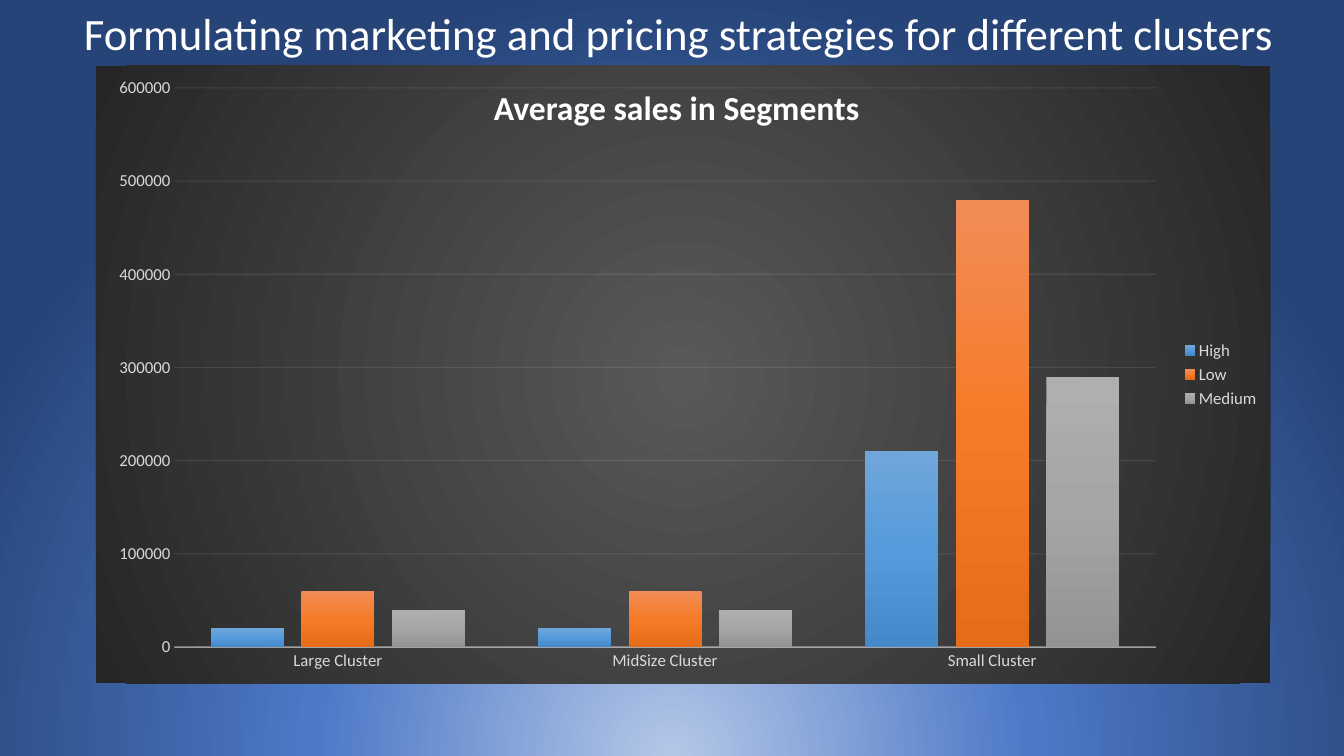
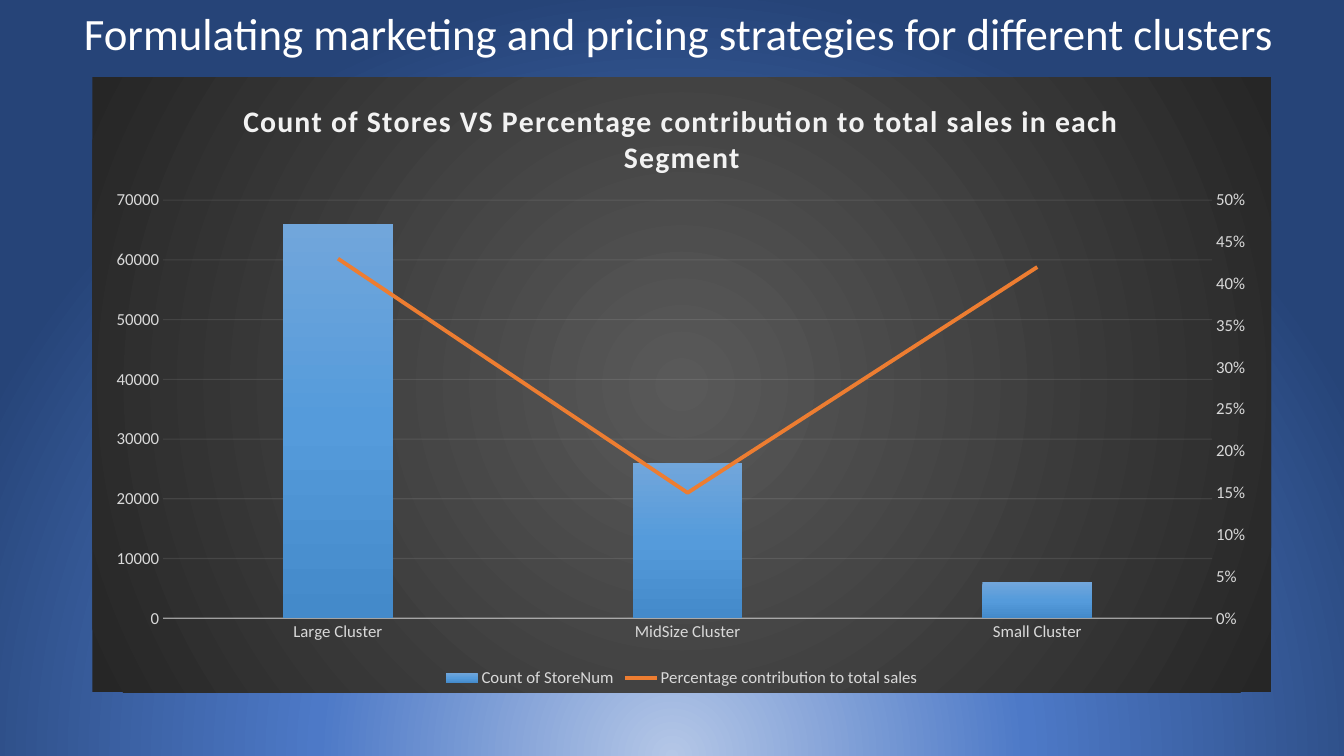
"""Build two slides of cluster charts on a shared radial blue background."""
from copy import deepcopy
from dataclasses import dataclass

from lxml import etree
from pptx import Presentation
from pptx import util as u
from pptx.chart import axis as axes
from pptx.chart import data
from pptx.dml.color import RGBColor
from pptx.enum import chart as kinds
from pptx.enum import text
from pptx.oxml import parse_xml
from pptx.oxml.ns import nsdecls, qn

HEIGHT = u.Inches(7.5)
WIDTH = HEIGHT * 16 // 9
FONT = "Calibri"
WHITE, PALE, LABEL = "FFFFFF", "F2F2F2", "D9D9D9"
TITLE = "Formulating marketing and pricing strategies for different clusters"
CLUSTERS = ("Large Cluster", "MidSize Cluster", "Small Cluster")


@dataclass(frozen=True)
class Box:
    """A rectangle in percent of the slide's width and height."""
    left: float
    top: float
    width: float
    height: float

    def lengths(self) -> tuple[int, int, int, int]:
        return (round(WIDTH * self.left / 100), round(HEIGHT * self.top / 100),
                round(WIDTH * self.width / 100), round(HEIGHT * self.height / 100))


@dataclass(frozen=True)
class Gradient:
    """Colour stops, with a focus rectangle when the gradient is radial."""
    stops: tuple[tuple[int, str], ...]
    focus: tuple[int, int, int, int] | None = None


@dataclass(frozen=True)
class Series:
    """A named row of values and its fill."""
    name: str
    values: tuple[float, ...]
    fill: Gradient | str


@dataclass(frozen=True)
class ClusterChart:
    """Content and layout of one chart."""
    box: Box
    series: tuple[Series, ...]
    gap: int
    overlap: int
    legend: kinds.XL_LEGEND_POSITION
    title: str = ""


def column_fill(*colours: str) -> Gradient:
    return Gradient(tuple(zip((0, 50, 100), colours)))


BACKDROP = Gradient(((0, "B4C7E7"), (46, "4D79C7"), (100, "264478")), (50, 130, 50, -30))
PANEL = Gradient(((0, "595959"), (100, "262626")), (50, 50, 50, 50))
BLUE = column_fill("71A6DB", "559BDB", "448ACA")
ORANGE = column_fill("F18C57", "F67B28", "E56C19")
GREY = column_fill("AFAFAF", "A5A5A5", "939393")
TITLE_BOX = Box(1.55, 1.2, 97.95, 7.47)
SALES_LABEL_BOX = Box(36, 10.8, 29.03, 6.67)

SALES = ClusterChart(
    Box(7.13, 8.67, 87.4, 81.73),
    (Series("High", (20000, 20000, 210000), BLUE),
     Series("Low", (60000, 60000, 480000), ORANGE),
     Series("Medium", (40000, 40000, 290000), GREY)),
    100, -24, kinds.XL_LEGEND_POSITION.RIGHT)
STORES = ClusterChart(
    Box(6.88, 10.22, 87.7, 81.33),
    (Series("Count of StoreNum", (66000, 26000, 6000), BLUE),
     Series("Percentage contribution to total sales", (0.43, 0.15, 0.42), "ED7D31")),
    219, -27, kinds.XL_LEGEND_POSITION.BOTTOM,
    "Count of Stores VS Percentage contribution to total sales in each Segment")
STORES_PLOT = {"x": 0.06, "y": 0.2, "w": 0.89, "h": 0.68}


def colour(value: str) -> RGBColor:
    return RGBColor.from_string(value)


def set_font(font, size: float, value: str, bold: bool = False) -> None:
    font.name, font.size, font.bold = FONT, u.Pt(size), bold
    font.color.rgb = colour(value)


def gradient_xml(gradient: Gradient):
    stops = "".join(f'<a:gs pos="{place * 1000}"><a:srgbClr val="{value}"/></a:gs>'
                    for place, value in gradient.stops)
    if gradient.focus:
        sides = " ".join(f'{side}="{share * 1000}"' for side, share in zip("ltrb", gradient.focus))
        direction = f'<a:path path="circle"><a:fillToRect {sides}/></a:path>'
    else:
        direction = '<a:lin ang="5400000" scaled="0"/>'
    return parse_xml(f'<a:gradFill {nsdecls("a")} rotWithShape="1">'
                     f'<a:gsLst>{stops}</a:gsLst>{direction}</a:gradFill>')


def replace_fill(solid, gradient: Gradient) -> None:
    solid.getparent().replace(solid, gradient_xml(gradient))


def set_opacity(colours, percent: int) -> None:
    for item in colours:
        etree.SubElement(item, qn("a:alpha")).set("val", str(percent * 1000))


def add_text(slide, box: Box, words: str, size: float, bold: bool = False):
    shape = slide.shapes.add_textbox(*box.lengths())
    paragraph = shape.text_frame.paragraphs[0]
    paragraph.text = words
    set_font(paragraph.font, size, WHITE, bold)
    return shape.text_frame


def add_slide(presentation):
    slide = presentation.slides.add_slide(presentation.slide_layouts[6])
    frame = add_text(slide, TITLE_BOX, TITLE, 32)
    frame.word_wrap = True
    frame.vertical_anchor = text.MSO_ANCHOR.BOTTOM
    paragraph = frame.paragraphs[0]
    paragraph.alignment, paragraph.line_spacing = text.PP_ALIGN.CENTER, 0.9
    return slide


def style_axes(chart) -> None:
    category, value = chart.category_axis, chart.value_axis
    for axis in (category, value):
        axis.major_tick_mark = axis.minor_tick_mark = kinds.XL_TICK_MARK.NONE
        set_font(axis.tick_labels.font, 12, LABEL)
    value.format.line.fill.background()
    value.has_major_gridlines = True
    for line, width in ((category.format.line, 1), (value.major_gridlines.format.line, 0.75)):
        line.color.rgb, line.width = colour(PALE), u.Pt(width)
    set_opacity(chart.element.xpath(".//c:catAx/c:spPr//a:srgbClr"), 54)
    set_opacity(chart.element.xpath(".//c:majorGridlines//a:srgbClr"), 10)


def add_chart(slide, design: ClusterChart):
    content = data.CategoryChartData(number_format="General")
    content.categories = CLUSTERS
    for series in design.series:
        content.add_series(series.name, series.values)
    chart = slide.shapes.add_chart(kinds.XL_CHART_TYPE.COLUMN_CLUSTERED,
                                   *design.box.lengths(), content).chart
    set_font(chart.font, 12, LABEL)
    chart.element.find(qn("c:chart")).addnext(parse_xml(f'<c:spPr {nsdecls("c", "a")}/>'))
    panel = chart.element.find(qn("c:spPr"))
    panel.append(gradient_xml(PANEL))
    panel.append(parse_xml(f'<a:ln {nsdecls("a")}><a:noFill/></a:ln>'))
    plot = chart.plots[0]
    plot.gap_width, plot.overlap, plot.vary_by_categories = design.gap, design.overlap, False
    for series, column in zip(design.series, plot.series):
        if isinstance(series.fill, Gradient):
            column.format.fill.solid()
            column.format.fill.fore_color.rgb = colour(series.fill.stops[0][1])
            solid = chart.element.xpath(".//c:ser/c:spPr/a:solidFill")[0]
            replace_fill(solid, series.fill)
    style_axes(chart)
    chart.has_legend = True
    chart.legend.position, chart.legend.include_in_layout = design.legend, False
    set_font(chart.legend.font, 12, LABEL)
    chart.has_title = bool(design.title)
    if design.title:
        run = chart.chart_title.text_frame.paragraphs[0].add_run()
        run.text = design.title
        set_font(run.font, 21.3, PALE, True)
        chart.chart_title.include_in_layout = False
        chart.element.xpath("./c:chart/c:title//a:rPr")[0].set("spc", "100")
    return chart


def place_plot(chart, shares: dict[str, float]) -> None:
    area = chart.element.xpath(".//c:plotArea")[0]
    for layout in area.findall(qn("c:layout")):
        area.remove(layout)
    modes = '<c:xMode val="edge"/><c:yMode val="edge"/>'
    sides = "".join(f'<c:{side} val="{share}"/>' for side, share in shares.items())
    area.insert(0, parse_xml(f'<c:layout {nsdecls("c")}><c:manualLayout>'
                             f'<c:layoutTarget val="inner"/>{modes}{sides}'
                             '</c:manualLayout></c:layout>'))


def move_last_series_to_line(chart, line_colour: str) -> None:
    bars = chart.element.xpath(".//c:barChart")[0]
    series = bars.xpath("./c:ser")[-1]
    for flag in series.findall(qn("c:invertIfNegative")):
        series.remove(flag)
    lines = parse_xml(f'<c:lineChart {nsdecls("c")}><c:grouping val="standard"/>'
                      '<c:varyColors val="0"/><c:marker val="1"/>'
                      '<c:axId val="111"/><c:axId val="222"/></c:lineChart>')
    lines.find(qn("c:varyColors")).addnext(series)
    bars.addnext(lines)

    last = chart.element.xpath(".//c:valAx")[0]
    copies = []
    for tag, own, other in (("c:catAx", "111", "222"), ("c:valAx", "222", "111")):
        twin = deepcopy(chart.element.xpath(f".//{tag}")[0])
        twin.find(qn("c:axId")).set("val", own)
        twin.find(qn("c:crossAx")).set("val", other)
        last.addnext(twin)
        last = twin
        copies.append(twin)
    copies[1].find(qn("c:axPos")).set("val", "r")
    copies[1].find(qn("c:crosses")).set("val", "max")
    category, percent = axes.CategoryAxis(copies[0]), axes.ValueAxis(copies[1])
    category.visible = False
    percent.has_major_gridlines = False
    percent.minimum_scale, percent.maximum_scale, percent.major_unit = 0, 0.5, 0.05
    percent.tick_labels.number_format = "0%"
    percent.tick_labels.number_format_is_linked = False

    line = chart.plots[1].series[0]
    line.format.line.color.rgb, line.format.line.width = colour(line_colour), u.Pt(2.75)
    line.marker.style, line.smooth = kinds.XL_MARKER_STYLE.NONE, False


def main() -> None:
    presentation = Presentation()
    presentation.slide_width, presentation.slide_height = WIDTH, HEIGHT
    master = presentation.slide_master
    master.background.fill.solid()
    master.background.fill.fore_color.rgb = colour(BACKDROP.stops[0][1])
    replace_fill(master.element.xpath("./p:cSld/p:bg/p:bgPr/a:solidFill")[0], BACKDROP)

    sales_slide = add_slide(presentation)
    add_chart(sales_slide, SALES)
    label = add_text(sales_slide, SALES_LABEL_BOX, "Average sales in Segments", 24, True)
    label.word_wrap = False
    label.auto_size = text.MSO_AUTO_SIZE.SHAPE_TO_FIT_TEXT

    stores_chart = add_chart(add_slide(presentation), STORES)
    place_plot(stores_chart, STORES_PLOT)
    move_last_series_to_line(stores_chart, STORES.series[-1].fill)
    presentation.save("out.pptx")


if __name__ == "__main__":
    main()
